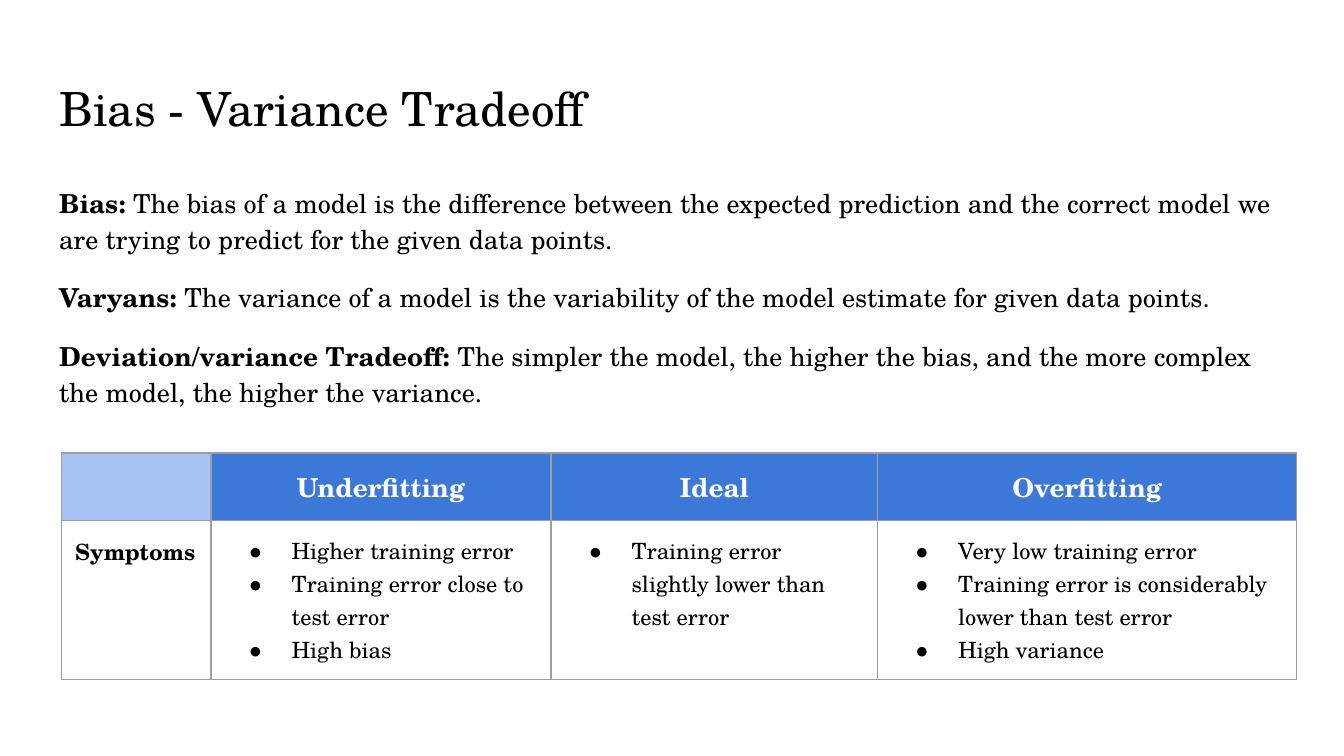
from pptx import Presentation
from pptx.dml.color import RGBColor as RGB
from pptx.enum.text import MSO_ANCHOR as Anchor, MSO_AUTO_SIZE as Fit, PP_ALIGN as Align
from pptx.oxml.ns import qn
from pptx.util import Inches, Pt
from lxml.etree import SubElement as Sub

FONT = "TeX Gyre Schola"
HEX = {"ink": "000000", "white": "FFFFFF", "head": "3C78D8",
       "corner": "A4C2F4", "rule": "9E9E9E"}
PAD = Inches(0.1)

TERMS = [
    ("Bias: ", "The bias of a model is the difference between the expected "
     "prediction and the correct model we are trying to predict for the given data points."),
    ("Varyans: ", "The variance of a model is the variability of the model "
     "estimate for given data points."),
    ("Deviation/variance Tradeoff: ", "The simpler the model, the higher the bias, "
     "and the more complex the model, the higher the variance."),
]
FITS = {
    "Underfitting": ["Higher training error", "Training error close to test error",
                     "High bias"],
    "Ideal": ["Training error slightly lower than test error"],
    "Overfitting": ["Very low training error",
                    "Training error is considerably lower than test error",
                    "High variance"],
}


def color(name):
    return RGB.from_string(HEX[name])


def add_run(para, text, size, bold=False, tint="ink"):
    run = para.add_run()
    run.text = text
    font = run.font
    font.name, font.size, font.bold = FONT, Pt(size), bold
    font.color.rgb = color(tint)


def set_mark(para, left=0, hang=0, mark=None):
    """Set the indent, and a bullet or none."""
    props = para._p.get_or_add_pPr()
    props.set("marL", str(Inches(left)))
    props.set("indent", str(Inches(hang)))
    if mark:
        tint = Sub(props, qn("a:buClr"))
        Sub(tint, qn("a:srgbClr"), val=HEX["ink"])
        Sub(props, qn("a:buFont"), typeface=FONT)
        Sub(props, qn("a:buChar"), char=mark)
    else:
        Sub(props, qn("a:buNone"))


def each_para(frame, items):
    """Yield a paragraph of the frame for each item."""
    for i, item in enumerate(items):
        yield (frame.add_paragraph() if i else frame.paragraphs[0]), item


def place(holder, box):
    holder.left, holder.top, holder.width, holder.height = map(Inches, box)
    frame = holder.text_frame
    frame.word_wrap, frame.auto_size = True, Fit.NONE
    frame.vertical_anchor = Anchor.TOP
    frame.margin_left = frame.margin_right = PAD
    frame.margin_top = frame.margin_bottom = PAD
    return frame


def fill_title(holder, box):
    para = place(holder, box).paragraphs[0]
    para.alignment = Align.LEFT
    add_run(para, "Bias - Variance Tradeoff", 25.2)


def fill_body(holder, box):
    frame = place(holder, box)
    for para, (term, text) in each_para(frame, TERMS):
        set_mark(para)
        para.line_spacing = 1.15
        para.space_before = Pt(12 if term != TERMS[0][0] else 0)
        add_run(para, term, 14, bold=True)
        add_run(para, text, 14)


def style_cell(cell, tint=None):
    cell.margin_left = cell.margin_right = PAD
    cell.margin_top = cell.margin_bottom = PAD
    props = cell._tc.get_or_add_tcPr()
    for side in ("lnL", "lnR", "lnT", "lnB"):
        line = Sub(props, qn(f"a:{side}"), w=str(Pt(0.75)))
        Sub(Sub(line, qn("a:solidFill")), qn("a:srgbClr"), val=HEX["rule"])
    if tint:
        cell.fill.solid()
        cell.fill.fore_color.rgb = color(tint)
    else:
        cell.fill.background()


def add_grid(slide, box, cols, rows):
    table = slide.shapes.add_table(len(rows), len(cols), *map(Inches, box)).table
    table.first_row = table.horz_banding = False
    for col, width in zip(table.columns, cols):
        col.width = Inches(width)
    for row, height in zip(table.rows, rows):
        row.height = Inches(height)

    # Row labels
    style_cell(table.cell(0, 0), "corner")
    label = table.cell(1, 0)
    style_cell(label)
    add_run(label.text_frame.paragraphs[0], "Symptoms", 12, bold=True)

    # One column for each kind of fit
    for i, (name, signs) in enumerate(FITS.items(), 1):
        head, cell = table.cell(0, i), table.cell(1, i)
        style_cell(head, "head")
        style_cell(cell)
        para = head.text_frame.paragraphs[0]
        para.alignment = Align.CENTER
        add_run(para, name, 14, bold=True, tint="white")
        for para, sign in each_para(cell.text_frame, signs):
            set_mark(para, 0.5, -0.33, "●")
            add_run(para, sign, 12)


def main():
    deck = Presentation()
    deck.slide_width = Inches(10)
    deck.slide_height = deck.slide_width * 9 // 16
    slide = deck.slides.add_slide(deck.slide_layouts[1])
    back = slide.background.fill
    back.solid()
    back.fore_color.rgb = color("white")

    fill_title(slide.shapes.title, (0.34, 0.49, 9.32, 0.63))
    fill_body(slide.placeholders[1], (0.34, 1.26, 9.32, 3.74))
    add_grid(slide, (0.46, 3.37, 9.2, 1.63),
             cols=(1.11, 2.53, 2.43, 3.12), rows=(0.48, 1.15))
    deck.save("out.pptx")


if __name__ == "__main__":
    main()
